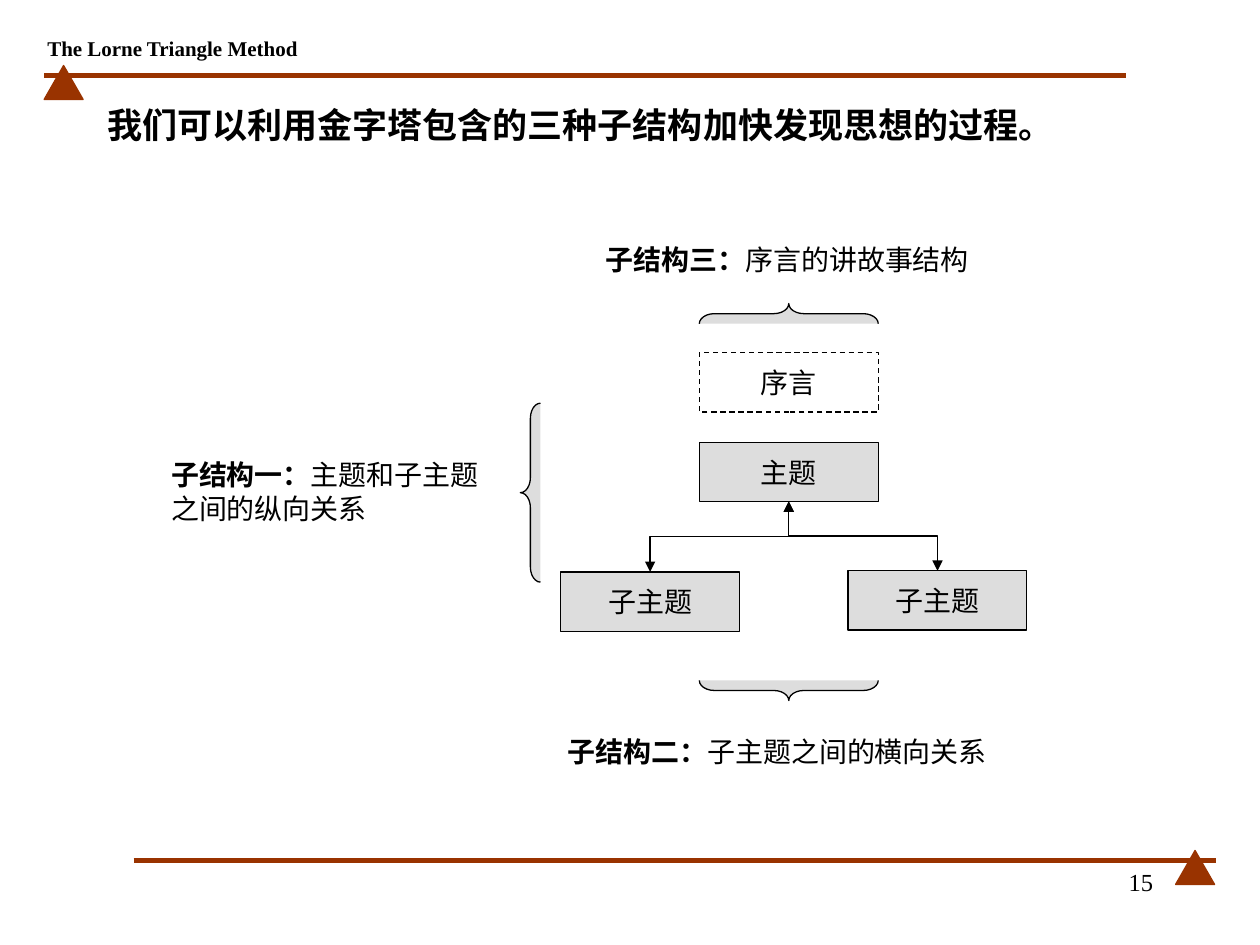
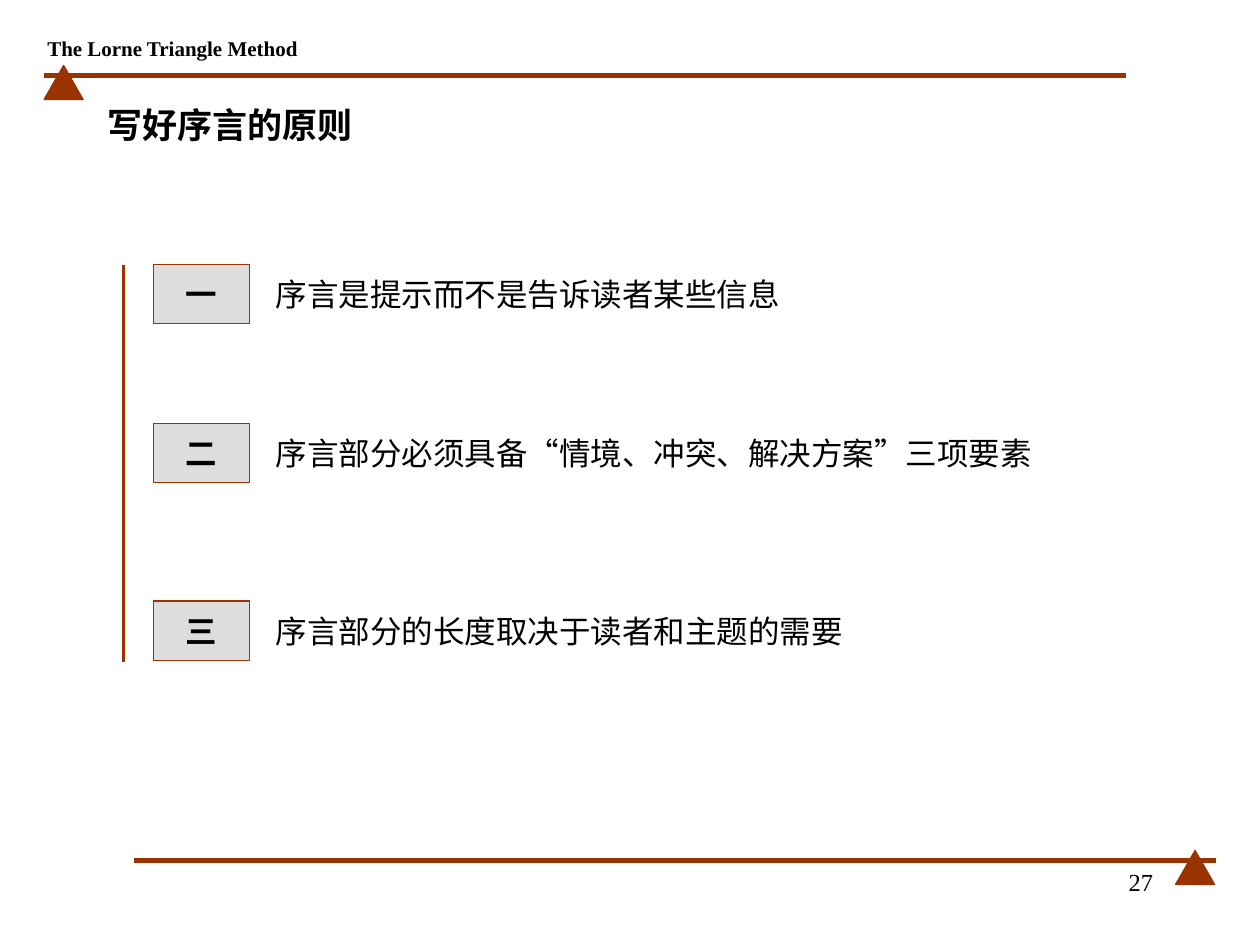
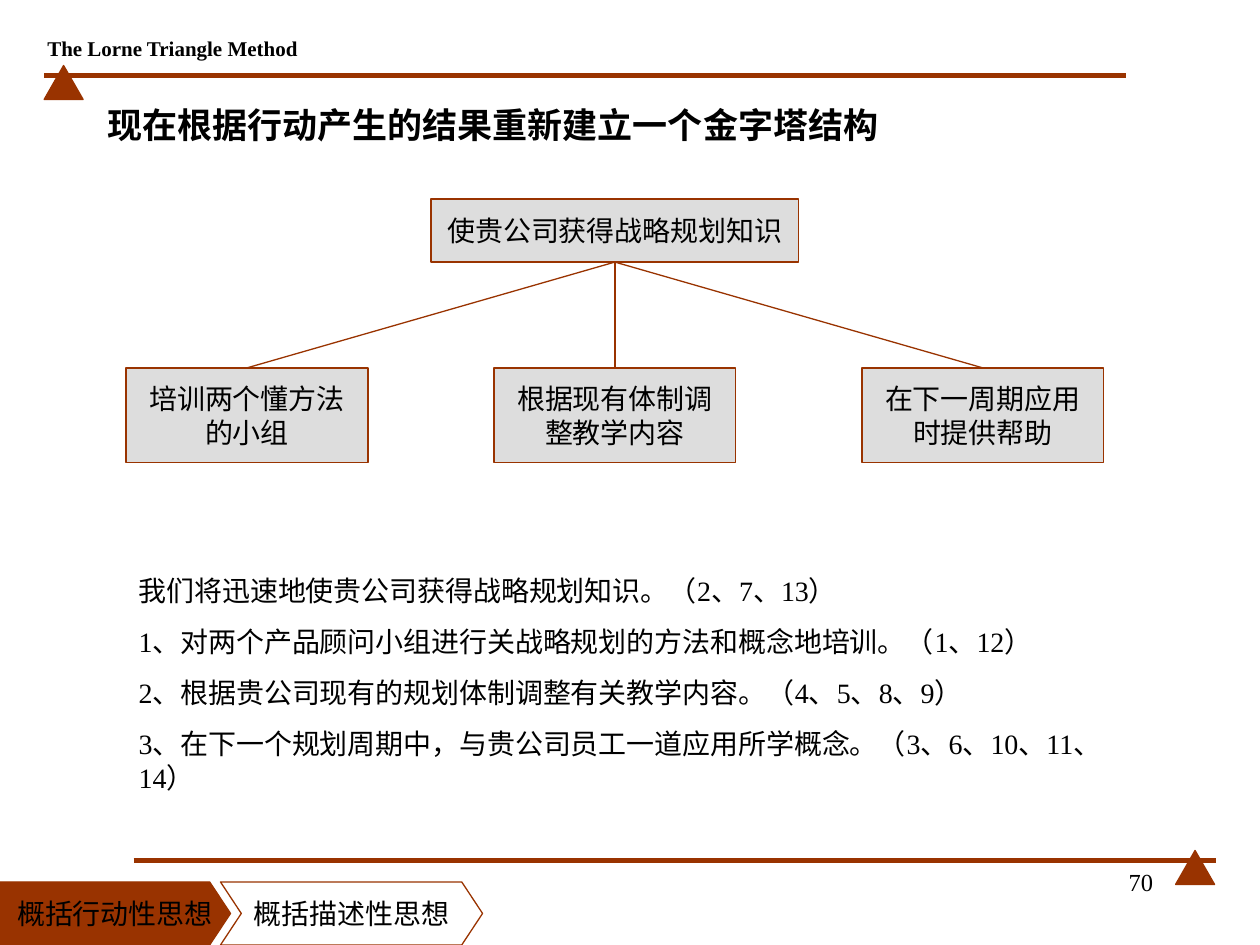
from dataclasses import dataclass
from lxml.etree import SubElement
from pptx import Presentation
from pptx.dml.color import RGBColor as RGB
from pptx.enum.dml import MSO_LINE as Dash
from pptx.enum.shapes import MSO_CONNECTOR as Conn, MSO_SHAPE as Geo
from pptx.enum.text import MSO_ANCHOR as Anchor, MSO_AUTO_SIZE as Fit, PP_ALIGN as Align
from pptx.oxml.ns import qn
from pptx.util import Inches, Pt


@dataclass(frozen=True)
class Theme:
    rust: RGB = RGB.from_string("993300")
    gray: RGB = RGB.from_string("DDDDDD")
    ink: RGB = RGB.from_string("000000")
    font: str = "Times New Roman"
    quote: str = "Arial"
    title: int = 20
    item: int = 18
    text: int = 16
    page: int = 14
    head: int = 12
    thin: float = 0.75
    mid: float = 2.25
    thick: float = 3


T = Theme()
WIDE, HIGH = 10, 7.5

HEAD = "The Lorne Triangle Method"
BANDS = [((0.35, 0.6), (8.94, 0.6), (0.35, 0.52)),
         ((1.06, 6.83), (9.65, 6.83), (9.33, 6.75))]
PEAK = (0.31, 0.27)

TITLES = {15: "我们可以利用金字塔包含的三种子结构加快发现思想的过程。",
          27: "写好序言的原则",
          70: "现在根据行动产生的结果重新建立一个金字塔结构"}

NODE = (1.42, 0.47)
INTRO, TOPIC = ("序言", 5.55, 2.8), ("主题", 5.55, 3.51)
SUBS = [("子主题", 4.45, 4.54), ("子主题", 6.73, 4.53)]
BRACE = (0.16, 1.42)
BRACES = [(4.13, 3.2, 0), (6.18, 4.77, 270), (6.18, 1.78, 90)]
NOTES = [("子结构一：", "主题和子主题之间的纵向关系", (1.26, 3.44, 2.68, 0.92), Align.LEFT),
         ("子结构二：", "子主题之间的横向关系", (4.41, 5.65, 3.7, 0.63), Align.LEFT),
         ("子结构三：", "序言的讲故事结构", (4.4, 1.78, 3.7, 0.55), Align.CENTER)]

RULES = [("一", 2.1, ["序言是提示而不是告诉读者某些信息"]),
         ("二", 3.36, ["序言部分必须具备", "“", "情境、冲突、解决方案", "”", "三项要素"]),
         ("三", 4.77, ["序言部分的长度取决于读者和主题的需要"])]

GOAL = "使贵公司获得战略规划知识"
STEPS = ["培训两个懂方法的小组", "根据现有体制调整教学内容", "在下一周期应用时提供帮助"]
LIST = ["我们将迅速地使贵公司获得战略规划知识。（2、7、13）",
        "1、对两个产品顾问小组进行关战略规划的方法和概念地培训。（1、12）",
        "2、根据贵公司现有的规划体制调整有关教学内容。（4、5、8、9）",
        "3、在下一个规划周期中，与贵公司员工一道应用所学概念。（3、6、10、11、14）"]
TABS = [("概括行动性思想", Geo.PENTAGON, 0, 1.83, T.rust, 0.02),
        ("概括描述性思想", Geo.CHEVRON, 1.75, 2.08, None, 0.1)]


def inch(*nums):
    return [Inches(n) for n in nums]


def style(run, size, bold=False, font=T.font):
    run.font.name, run.font.size, run.font.bold = font, Pt(size), bold
    run.font.color.rgb = T.ink


def write(shape, parts, size, align=Align.CENTER, bold=False, wrap=True):
    frame = shape.text_frame
    frame.word_wrap, frame.vertical_anchor = wrap, Anchor.MIDDLE
    para = frame.paragraphs[0]
    para.alignment = align
    for part in parts:
        run = para.add_run()
        run.text = part
        style(run, size, bold, T.quote if part in "“”" else T.font)
    return para


def label(slide, box, parts, size, align=Align.LEFT, **opts):
    shape = slide.shapes.add_textbox(*inch(*box))
    write(shape, parts, size, align, **opts)
    return shape


def draw(slide, geo, box, fill=T.gray, edge=T.rust):
    shape = slide.shapes.add_shape(geo, *inch(*box))
    shape.shadow.inherit = False
    if fill is None:
        shape.fill.background()
    else:
        shape.fill.solid()
        shape.fill.fore_color.rgb = fill
    shape.line.color.rgb, shape.line.width = edge, Pt(T.thin)
    return shape


def block(slide, box, text, size=T.text, bold=False, **look):
    shape = draw(slide, Geo.RECTANGLE, box, **look)
    write(shape, [text], size, bold=bold)
    return shape


def line(slide, start, end, width=T.thin, color=T.rust, kind=Conn.STRAIGHT):
    wire = slide.shapes.add_connector(kind, *inch(*start, *end))
    wire.line.color.rgb, wire.line.width = color, Pt(width)
    SubElement(wire.element.spPr, qn("a:effectLst"))
    return wire


def elbow(slide, start, end):
    (x1, y1), (x2, y2) = start, end
    midx, midy = (x1 + x2) / 2, (y1 + y2) / 2
    half, rise = (y2 - y1) / 2, abs(x2 - x1) / 2
    left = x2 < x1
    side = half if left else -half
    wire = line(slide, (midx - side, midy - rise), (midx + side, midy + rise),
                color=T.ink, kind=Conn.ELBOW)
    props = wire.element.spPr
    props.find(qn("a:xfrm")).set("rot", str((90 if left else 270) * 60000))
    for end in ("headEnd", "tailEnd"):
        SubElement(props.find(qn("a:ln")), qn(f"a:{end}"), type="triangle")


def frame(deck, slide):
    parts = []
    for start, end, peak in BANDS:
        parts.append(line(slide, start, end, T.thick))
        parts.append(draw(slide, Geo.ISOSCELES_TRIANGLE, peak + PEAK, T.rust))
    parts.append(label(slide, (0.23, 0.24, 2.28, 0.28), [HEAD], T.head,
                       Align.CENTER, bold=True, wrap=False))
    tree = deck.slide_master.element.cSld.spTree
    for part in parts:
        tree.append(part.element)
    for num, mark in enumerate(tree.xpath("./*//p:cNvPr"), 1):
        mark.set("id", str(num))


def start(deck, layout, page):
    slide = deck.slides.add_slide(deck.slide_layouts[layout])
    write(slide.shapes.title, [TITLES[page]], T.title, Align.LEFT, True)
    num = label(slide, (7.17, 6.83, 2.08, 0.5), [str(page)], T.page, Align.RIGHT)
    num.text_frame.vertical_anchor = Anchor.TOP
    return slide


def parts_page(deck):
    slide = start(deck, 5, 15)
    for text, x, y in [TOPIC, *SUBS]:
        block(slide, (x, y, *NODE), text, edge=T.ink)
    text, x, y = INTRO
    intro = block(slide, (x, y, *NODE), text, fill=None, edge=T.ink)
    intro.line.dash_style = Dash.DASH
    wide, high = NODE
    for _, x, y in SUBS:
        elbow(slide, (TOPIC[1] + wide / 2, TOPIC[2] + high), (x + wide / 2, y))
    for x, y, turn in BRACES:
        brace = draw(slide, Geo.LEFT_BRACE, (x, y, *BRACE), edge=T.ink)
        brace.adjustments[0], brace.rotation = 0.75, turn
    for name, text, box, align in NOTES:
        note = label(slide, box, [name, text], T.text, align)
        note.text_frame.paragraphs[0].runs[0].font.bold = True
    return slide


def rules_page(deck):
    slide = start(deck, 5, 27)
    for mark, y, parts in RULES:
        block(slide, (1.22, y, 0.76, 0.47), mark, T.item, True)
        label(slide, (2.09, y, 6.46, 0.47), parts, T.item)
    line(slide, (0.98, 2.1), (0.98, 5.25), T.mid)


def tree_page(deck):
    slide = start(deck, 1, 70)
    goal = block(slide, (3.42, 1.58, 2.92, 0.5), GOAL)
    for col, text in enumerate(STEPS):
        step = block(slide, (1 + col * 2.92, 2.92, 1.92, 0.75), text)
        wire = line(slide, (4.88, 2.08), (1.96 + col * 2.92, 2.92))
        wire.begin_connect(goal, 2)
        wire.end_connect(step, 0)

    body = slide.placeholders[1]
    body.left, body.top, body.width, body.height = inch(1, 4.5, 8.25, 1.85)
    text = body.text_frame
    text.text = "\n".join(LIST)
    text.auto_size, text.vertical_anchor = Fit.NONE, Anchor.TOP
    for row, para in enumerate(text.paragraphs):
        props = para._p.get_or_add_pPr()
        props.set("marL", "0")
        props.set("indent", "0")
        SubElement(props, qn("a:buNone"))
        para.space_before = Pt(10 if row else 0)
        style(para.runs[0], T.text)

    for name, geo, x, wide, fill, pad in TABS:
        tab = draw(slide, geo, (x, HIGH - 0.5, wide, 0.5), fill)
        tab.adjustments[0] = 0.33
        write(tab, [name], T.text, wrap=False)
        tab.text_frame.margin_right = Inches(pad)


def main():
    deck = Presentation()
    deck.slide_width, deck.slide_height = inch(WIDE, HIGH)
    title = deck.slide_master.placeholders[0]
    title.left, title.top, title.width, title.height = inch(0.75, 0.67, 8.74, 0.64)
    frame(deck, parts_page(deck))
    rules_page(deck)
    tree_page(deck)
    deck.save("out.pptx")


if __name__ == "__main__":
    main()
